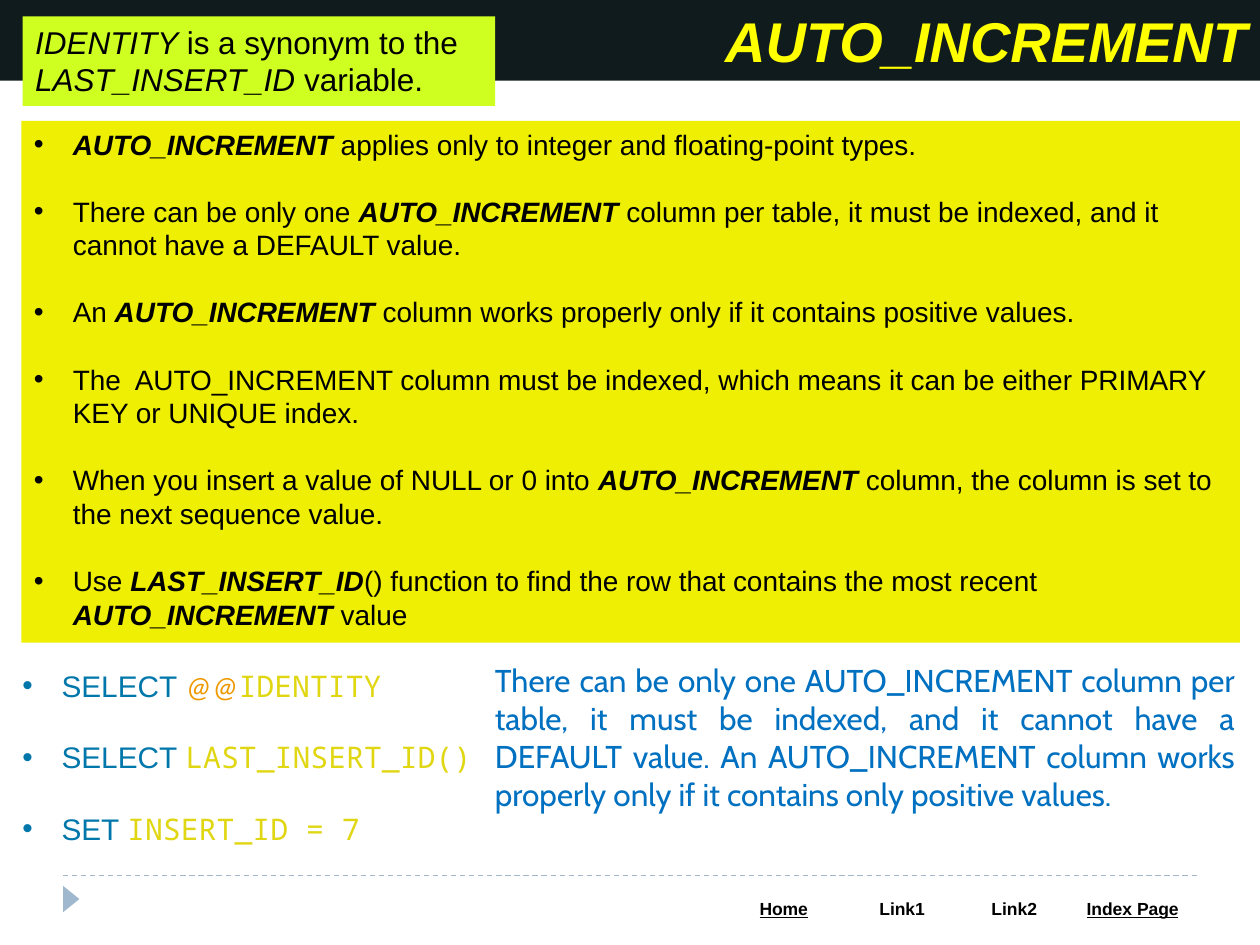
from dataclasses import dataclass

from lxml.etree import SubElement
from pptx import Presentation
from pptx.dml.color import RGBColor
from pptx.enum.dml import MSO_LINE
from pptx.enum.shapes import MSO_CONNECTOR, MSO_SHAPE
from pptx.enum.text import MSO_ANCHOR, PP_ALIGN
from pptx.oxml.ns import qn
from pptx.util import Inches, Pt

SLIDE_WIDTH, SLIDE_HEIGHT = Inches(10), Inches(7.5)


@dataclass(frozen=True)
class Face:
    color: str
    font: str = "Arial"
    bold: bool = False
    italic: bool = False
    underline: bool = False


@dataclass(frozen=True)
class Theme:
    band: str = "101B1D"
    rules: str = "EFEF03"
    callout: str = "CFFF21"
    footer: str = "9FB8CD"
    paper: str = "FFFFFF"
    title_size: int = 32
    callout_size: int = 18
    rules_size: int = 16
    code_size: int = 17
    nav_size: int = 10
    line_height: float = 1.2
    bullet_indent: float = 0.31
    title: Face = Face("FFFF00", bold=True, italic=True)
    plain: Face = Face("000000")
    italic: Face = Face("000000", italic=True)
    strong: Face = Face("000000", bold=True, italic=True)
    nav: Face = Face("000000", bold=True)
    nav_link: Face = Face("000000", bold=True, underline=True)
    keyword: Face = Face("0077AA")
    sigil: Face = Face("EE9900", font="Calibri", italic=True)
    code: Face = Face("E0D612", font="Noto Sans Mono")
    note: Face = Face("0070C0", font="Cabin")


THEME = Theme()

RULES = [
    [("AUTO_INCREMENT", THEME.strong),
     (" applies only to integer and floating-point types.", THEME.plain)],
    [("There can be only one ", THEME.plain), ("AUTO_INCREMENT", THEME.strong),
     (" column per table, it must be indexed, and it cannot have a DEFAULT value.", THEME.plain)],
    [("An ", THEME.plain), ("AUTO_INCREMENT", THEME.strong),
     (" column works properly only if it contains positive values.", THEME.plain)],
    [("The  AUTO_INCREMENT column must be indexed, which means it can be either "
      "PRIMARY KEY or UNIQUE index.", THEME.plain)],
    [("When you insert a value of NULL or 0 into ", THEME.plain),
     ("AUTO_INCREMENT ", THEME.strong),
     ("column, the column is set to the next sequence value.", THEME.plain)],
    [("Use ", THEME.plain), ("LAST_INSERT_ID", THEME.strong),
     ("() function to find the row that contains the most recent ", THEME.plain),
     ("AUTO_INCREMENT", THEME.strong), (" value", THEME.plain)],
]
STATEMENTS = [
    [("SELECT ", THEME.keyword), ("@@", THEME.sigil), ("IDENTITY", THEME.code)],
    [("SELECT ", THEME.keyword), ("LAST_INSERT_ID()", THEME.code)],
    [("SET ", THEME.keyword), ("INSERT_ID = 7", THEME.code)],
]
SYNONYM = [("IDENTITY ", THEME.italic), ("is a synonym to the ", THEME.plain),
           ("LAST_INSERT_ID", THEME.italic), (" variable.", THEME.plain)]
NOTE = [("There can be only one AUTO_INCREMENT column per table, it must be indexed, "
         "and it cannot have a DEFAULT value. An AUTO_INCREMENT column works properly "
         "only if it contains only positive values.", THEME.note)]
# Label, face and column width in inches
NAVIGATION = [("Home", THEME.nav_link, 0.94), ("Link1", THEME.nav, 0.94),
              ("Link2", THEME.nav, 0.84), ("Index Page", THEME.nav_link, 1.04)]


def share(left, top, width, height):
    """Turn percentages of the slide's size into lengths."""
    return (int(SLIDE_WIDTH * left / 100), int(SLIDE_HEIGHT * top / 100),
            int(SLIDE_WIDTH * width / 100), int(SLIDE_HEIGHT * height / 100))


def add_bullet(para):
    properties = para._p.get_or_add_pPr()
    indent = Inches(THEME.bullet_indent)
    properties.set("marL", str(indent))
    properties.set("indent", str(-indent))
    SubElement(properties, qn("a:buFont"), typeface="Arial")
    SubElement(properties, qn("a:buChar"), char="•")


def add_runs(para, runs, size):
    for text, face in runs:
        span = para.add_run()
        span.text = text
        font = span.font
        font.size, font.name = Pt(size), face.font
        font.bold, font.italic, font.underline = face.bold, face.italic, face.underline
        font.color.rgb = RGBColor.from_string(face.color)


def write(frame, paragraphs, size, align=PP_ALIGN.LEFT, bullets=False):
    """Fill a text frame, leaving one line's height between paragraphs."""
    frame.word_wrap = True
    line = Pt(size * THEME.line_height)
    for index, runs in enumerate(paragraphs):
        para = frame.add_paragraph() if index else frame.paragraphs[0]
        para.alignment = align
        para.line_spacing = line
        para.space_before = line if index else Pt(0)
        if bullets:
            add_bullet(para)
        add_runs(para, runs, size)


def add_panel(page, place, color, kind=MSO_SHAPE.RECTANGLE):
    panel = page.shapes.add_shape(kind, *share(*place))
    panel.shadow.inherit = False
    panel.fill.solid()
    panel.fill.fore_color.rgb = RGBColor.from_string(color)
    panel.line.fill.background()
    panel.text_frame.vertical_anchor = MSO_ANCHOR.TOP
    return panel


def add_text(page, place, *args, **options):
    box = page.shapes.add_textbox(*share(*place))
    write(box.text_frame, *args, **options)


def add_footer_rule(page):
    left, top, width, _ = share(5, 92.67, 90, 0)
    rule = page.shapes.add_connector(MSO_CONNECTOR.STRAIGHT, left, top, left + width, top)
    rule.line.color.rgb = RGBColor.from_string(THEME.footer)
    rule.line.width = Pt(0.75)
    rule.line.dash_style = MSO_LINE.DASH
    SubElement(rule._element.spPr, qn("a:effectLst"))


def add_navigation(page):
    place = share(57.5, 94.4, 37.6, 3.6)
    table = page.shapes.add_table(1, len(NAVIGATION), *place).table
    for index, (label, face, width) in enumerate(NAVIGATION):
        table.columns[index].width = Inches(width)
        cell = table.cell(0, index)
        cell.fill.solid()
        cell.fill.fore_color.rgb = RGBColor.from_string(THEME.paper)
        write(cell.text_frame, [[(label, face)]], THEME.nav_size, PP_ALIGN.CENTER)


def main():
    deck = Presentation()
    deck.slide_width, deck.slide_height = SLIDE_WIDTH, SLIDE_HEIGHT
    page = deck.slides.add_slide(deck.slide_layouts[6])

    marker = add_panel(page, (4.6, 94.27, 2.1, 1.73), THEME.footer,
                       MSO_SHAPE.ISOSCELES_TRIANGLE)
    marker.rotation = 90
    add_footer_rule(page)
    add_navigation(page)

    band = add_panel(page, (0, 0, 100, 8.53), THEME.band)
    write(band.text_frame, [[("AUTO_INCREMENT", THEME.title)]],
          THEME.title_size, PP_ALIGN.RIGHT)
    rules = add_panel(page, (1.7, 12.8, 96.7, 55.2), THEME.rules)
    write(rules.text_frame, RULES, THEME.rules_size, bullets=True)
    add_text(page, (0.8, 70, 38.5, 20.4), STATEMENTS, THEME.code_size, bullets=True)
    callout = add_panel(page, (1.8, 1.73, 37.5, 9.47), THEME.callout)
    write(callout.text_frame, [SYNONYM], THEME.callout_size)
    add_text(page, (38.3, 69.33, 60.7, 17.47), [NOTE], THEME.callout_size,
             align=PP_ALIGN.JUSTIFY)

    deck.save("out.pptx")


if __name__ == "__main__":
    main()
